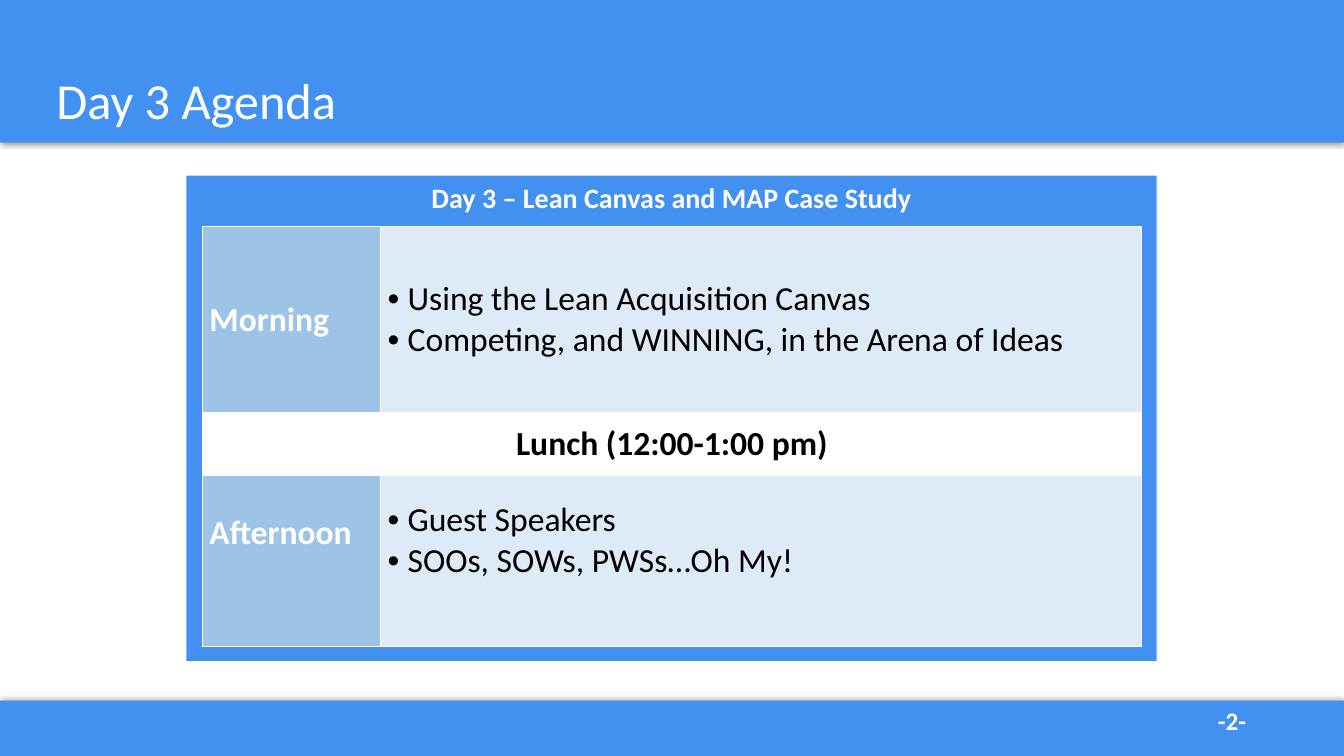
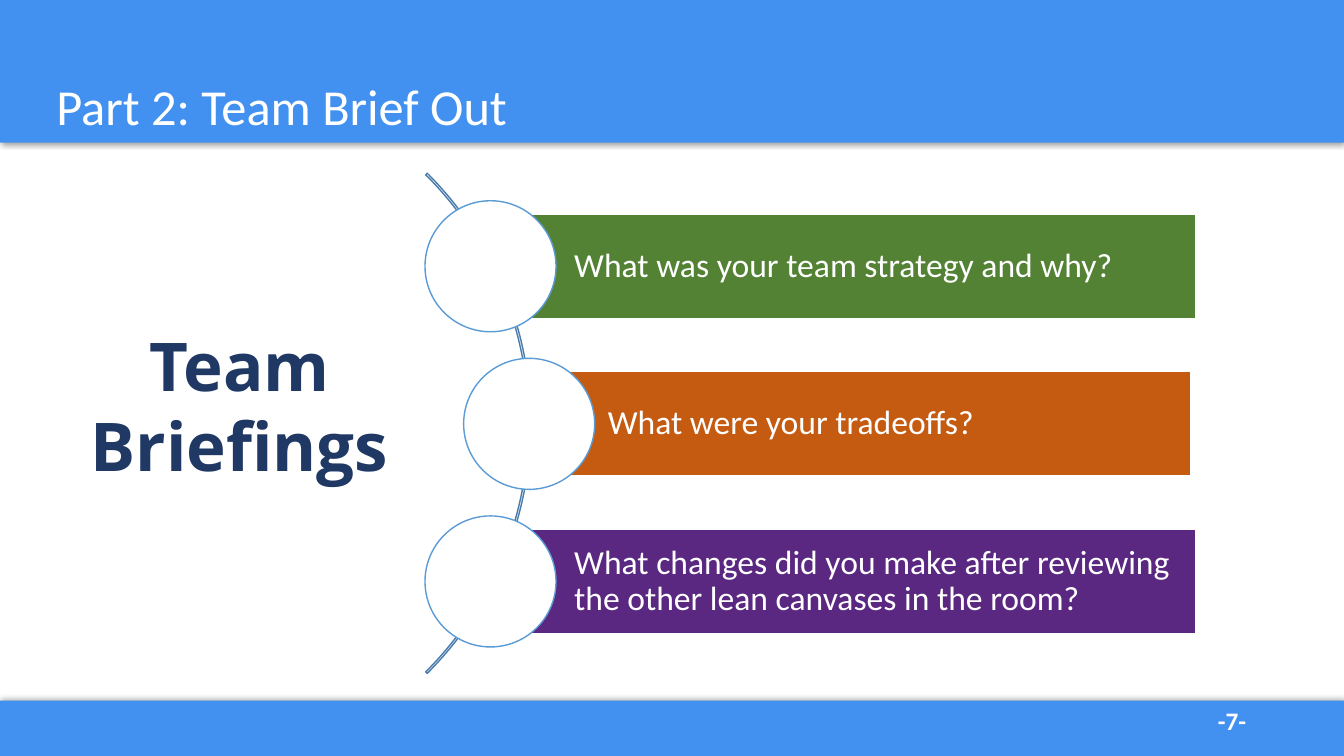
from pptx import Presentation
from pptx.dml.color import RGBColor
from pptx.enum.shapes import MSO_SHAPE as SHAPE
from pptx.enum.text import MSO_ANCHOR as ANCHOR, MSO_AUTO_SIZE as AUTO, PP_ALIGN as ALIGN
from pptx.oxml.ns import qn
from pptx.util import Inches, Pt
from lxml.etree import SubElement

COLS, ROWS = 80, 45
COLORS = {
    "band": "4291F0", "white": "FFFFFF", "black": "000000", "navy": "203864",
    "label": "9DC3E6", "cell": "DEEBF7", "ring": "5B9BD5", "arc": "497CAB",
    "green": "548235", "orange": "C55A11", "purple": "5A2781",
}


def grid(n):
    return Inches(n / 6)


def rgb(name):
    return RGBColor.from_string(COLORS[name])


class Deck:
    FONT = "Calibri"

    def __init__(self):
        self.prs = Presentation()
        self.prs.slide_width, self.prs.slide_height = grid(COLS), grid(ROWS)
        self.layout = self.prs.slide_layouts[5]
        self.s = None

    def slide(self, title, number, top):
        first = self.s is None
        self.s = self.prs.slides.add_slide(self.layout)
        if first:
            self.band(0, 8.5, 90, 101)
            self.band(41.7, 3.3, 270, 102)
        sp = self.s.shapes.title
        sp.left, sp.top, sp.width, sp.height = map(grid, (2.75, top, 74.5, 8.7))
        self.label(sp, [title], 36, spacing=0.9)
        self.text((71.9, 41.7, 5.9, 2.4), [f"-{number}-"], 18, bold=True)

    def band(self, top, height, angle, shape_id):
        sp = self.shape(SHAPE.RECTANGLE, (0, top, COLS, height), "band")
        effects = sp.element.spPr.find(qn("a:effectLst"))
        shadow = SubElement(effects, qn("a:outerShdw"), blurRad=str(Pt(4)),
                            dist=str(Pt(1)), dir=str(angle * 60000))
        color = SubElement(shadow, qn("a:srgbClr"), val=COLORS["black"])
        SubElement(color, qn("a:alpha"), val="40000")
        sp.element.nvSpPr.cNvPr.set("id", str(shape_id))
        self.layout.shapes.element.insert(2, sp.element)

    def shape(self, kind, box, fill=None, line=None):
        sp = self.s.shapes.add_shape(kind, *map(grid, box))
        sp.shadow.inherit = False
        if fill:
            sp.fill.solid()
            sp.fill.fore_color.rgb = rgb(fill)
        else:
            sp.fill.background()
        if line:
            sp.line.color.rgb = rgb(line)
            sp.line.width = Pt(1)
        else:
            sp.line.fill.background()
        return sp

    def text(self, box, lines, size, **style):
        sp = self.s.shapes.add_textbox(*map(grid, box))
        self.label(sp, lines, size, anchor=ANCHOR.TOP, **style)

    def label(self, sp, lines, size, anchor=ANCHOR.MIDDLE, **style):
        tf = sp.text_frame
        tf.word_wrap = True
        tf.auto_size = AUTO.NONE
        tf.vertical_anchor = anchor
        self.fill_text(tf, lines, size, **style)

    def fill_text(self, tf, lines, size, color="white", bold=False,
                  align=ALIGN.LEFT, spacing=None, bullet=False, font=FONT):
        tf.text = "\n".join(lines)
        for p in tf.paragraphs:
            p.alignment = align
            if spacing:
                p.line_spacing = spacing
            if bullet:
                pPr = p._p.get_or_add_pPr()
                pPr.set("marL", str(Inches(0.2)))
                pPr.set("indent", str(-Inches(0.2)))
                SubElement(pPr, qn("a:buFont"), typeface="Arial")
                SubElement(pPr, qn("a:buChar"), char="•")
            for r in p.runs:
                r.font.name, r.font.size, r.font.bold = font, Pt(size), bold
                r.font.color.rgb = rgb(color)

    def table(self, left, top, widths, heights):
        frame = self.s.shapes.add_table(
            len(heights), len(widths),
            *map(grid, (left, top, sum(widths), sum(heights))))
        table = frame.table
        table.first_row = table.horz_banding = False
        for column, width in zip(table.columns, widths):
            column.width = grid(width)
        for row, height in zip(table.rows, heights):
            row.height = grid(height)
        return table

    def cell(self, cell, lines, fill, lift=0, **style):
        tcPr = cell._tc.get_or_add_tcPr()
        for side in ("lnL", "lnR", "lnT", "lnB"):
            ln = SubElement(tcPr, qn(f"a:{side}"), w=str(Pt(1)))
            solid = SubElement(ln, qn("a:solidFill"))
            SubElement(solid, qn("a:srgbClr"), val=COLORS["white"])
        cell.fill.solid()
        cell.fill.fore_color.rgb = rgb(fill)
        cell.vertical_anchor = ANCHOR.MIDDLE
        cell.margin_left = cell.margin_right = Inches(0.07)
        cell.margin_top = Inches(0.04)
        cell.margin_bottom = Inches(0.04 + lift)
        self.fill_text(cell.text_frame, lines, 24, **style)

    def question(self, middle, left, width, circle_left, fill, words):
        bar = self.shape(SHAPE.RECTANGLE, (left, middle - 3.1, width, 6.2), fill, "white")
        tf = bar.text_frame
        tf.margin_left = Inches(0.83)
        tf.margin_right = tf.margin_top = tf.margin_bottom = Inches(0.07)
        self.label(bar, [words], 24, spacing=0.9)
        self.shape(SHAPE.OVAL, (circle_left, middle - 3.9, 7.8, 7.8), "white", "ring")


def agenda(deck):
    deck.slide("Day 3 Agenda", 2, 1.8)
    frame = deck.shape(SHAPE.RECTANGLE, (11.1, 10.45, 57.75, 28.9), "band")
    deck.label(frame, ["Day 3 – Lean Canvas and MAP Case Study"], 20,
               anchor=ANCHOR.TOP, bold=True, align=ALIGN.CENTER)
    table = deck.table(12.05, 13.5, (10.6, 45.3), (11.05, 3.75, 10.2))
    sessions = [
        (0, "Morning", 0, 0, ["Using the Lean Acquisition Canvas",
                              "Competing, and WINNING, in the Arena of Ideas"]),
        (2, "Afternoon", 0.56, 0.4, ["Guest Speakers", "SOOs, SOWs, PWSs…Oh My!"]),
    ]
    for row, label, label_lift, lift, topics in sessions:
        deck.cell(table.cell(row, 0), [label], "label", label_lift, bold=True)
        deck.cell(table.cell(row, 1), topics, "cell", lift, color="black", bullet=True)
    lunch = table.cell(1, 0)
    lunch.merge(table.cell(1, 1))
    deck.cell(lunch, ["Lunch (12:00-1:00 pm)"], "white", color="black",
              bold=True, align=ALIGN.CENTER)


def briefings(deck):
    deck.slide("Part 2: Team Brief Out", 7, 2.15)
    arc = deck.shape(SHAPE.BLOCK_ARC, (-10.5, 4.15, 42.1, 42.1), line="arc")
    for i, value in enumerate((189, 27, 0.003)):
        arc.adjustments[i] = value
    questions = [
        (29.2, 41.95, 25.3, "green", "What was your team strategy and why?"),
        (31.2, 39.7, 27.6, "orange", "What were your tradeoffs?"),
        (29.2, 41.95, 25.3, "purple", "What changes did you make after reviewing "
                                      "the other lean canvases in the room?"),
    ]
    for i, question in enumerate(questions):
        deck.question(15.85 + 9.38 * i, *question)
    deck.text((3.6, 19, 21.3, 10.3), ["Team", "Briefings"], 48, color="navy",
              bold=True, align=ALIGN.CENTER, font="Open Sans")


def main():
    deck = Deck()
    agenda(deck)
    briefings(deck)
    deck.prs.save("out.pptx")


if __name__ == "__main__":
    main()
